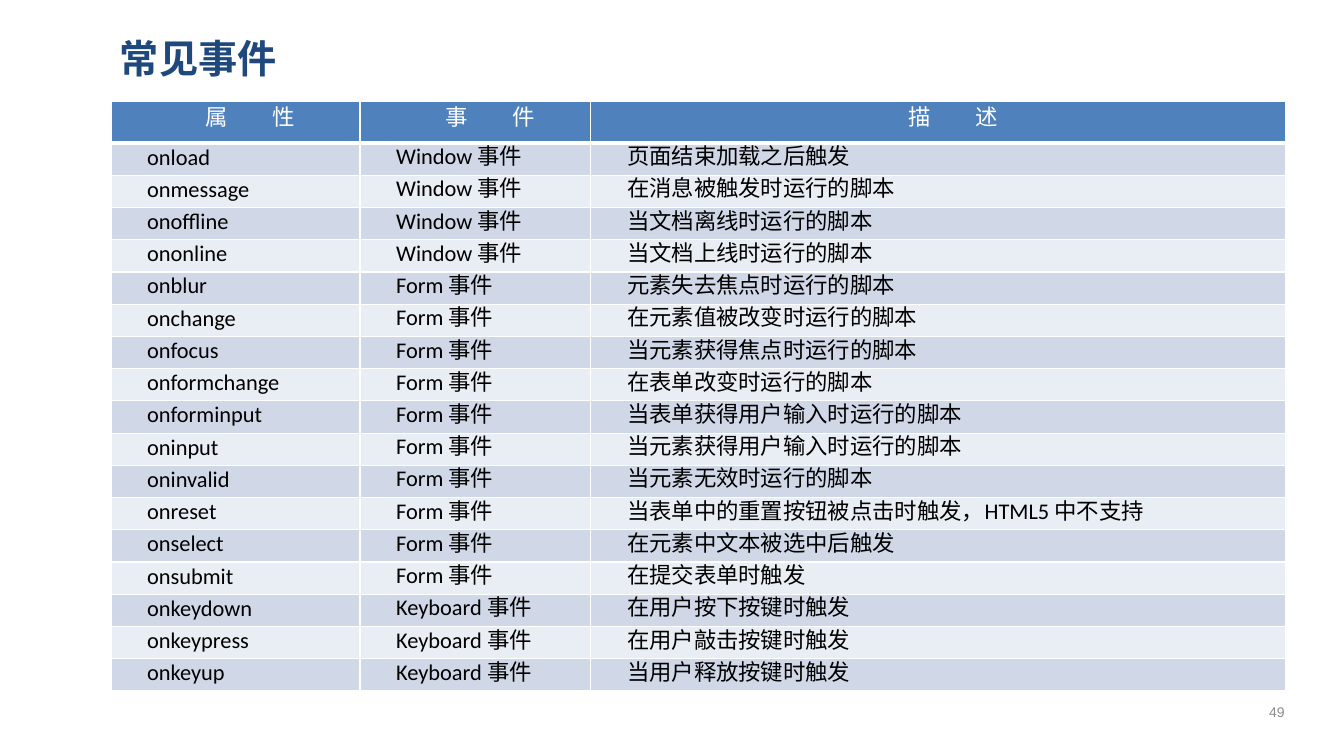
"""Builds the slide of common events."""
import pptx
import pptx.util
import pptx.dml.color
import pptx.enum.text
import pptx.oxml
import pptx.oxml.ns

Inches, Pt = pptx.util.Inches, pptx.util.Pt
ALIGN = pptx.enum.text.PP_ALIGN
MIDDLE = pptx.enum.text.MSO_ANCHOR.MIDDLE

TITLE = "常见事件"
PAGE = "49"
HEAD = ("属　　性", "事　　件", "描　　述")
EVENTS = [
    ("Window", [
        ("onload", "页面结束加载之后触发"),
        ("onmessage", "在消息被触发时运行的脚本"),
        ("onoffline", "当文档离线时运行的脚本"),
        ("ononline", "当文档上线时运行的脚本"),
    ]),
    ("Form", [
        ("onblur", "元素失去焦点时运行的脚本"),
        ("onchange", "在元素值被改变时运行的脚本"),
        ("onfocus", "当元素获得焦点时运行的脚本"),
        ("onformchange", "在表单改变时运行的脚本"),
        ("onforminput", "当表单获得用户输入时运行的脚本"),
        ("oninput", "当元素获得用户输入时运行的脚本"),
        ("oninvalid", "当元素无效时运行的脚本"),
        ("onreset", "当表单中的重置按钮被点击时触发，HTML5 中不支持"),
        ("onselect", "在元素中文本被选中后触发"),
        ("onsubmit", "在提交表单时触发"),
    ]),
    ("Keyboard", [
        ("onkeydown", "在用户按下按键时触发"),
        ("onkeypress", "在用户敲击按键时触发"),
        ("onkeyup", "当用户释放按键时触发"),
    ]),
]
COLORS = {"head": "4F81BD", "odd": "D0D8E8", "even": "E9EDF4", "white": "FFFFFF",
          "text": "000000", "title": "1F497D", "page": "8C8C8C"}
CJK = "Noto Sans CJK SC"
LEFT, TOP, WIDTH = 1.1, 1.01, 11.65
COLS = (2.47, 2.29, 6.89)
HEAD_H, ROW_H = 0.41, 0.32


def rgb(name):
    return pptx.dml.color.RGBColor.from_string(COLORS[name])


def style(para, size, face, color, align, bold=False):
    font = para.font
    font.size, font.name, font.bold = Pt(size), face, bold
    font.color.rgb = rgb(color)
    para.alignment = align
    base = para._p.pPr.find(pptx.oxml.ns.qn("a:defRPr"))
    base.find(pptx.oxml.ns.qn("a:latin")).addnext(pptx.oxml.parse_xml(
        f'<a:ea {pptx.oxml.ns.nsdecls("a")} typeface="{CJK}"/>'))


def border(cell, head):
    props = cell._tc.get_or_add_tcPr()
    for at, side in enumerate("LRTB"):
        width = Pt(3 if head and side == "B" else 1)
        props.insert(at, pptx.oxml.parse_xml(
            f'<a:ln{side} {pptx.oxml.ns.nsdecls("a")} w="{width}"><a:solidFill>'
            f'<a:srgbClr val="{COLORS["white"]}"/></a:solidFill></a:ln{side}>'))


def fill_cell(cell, text, row):
    head = row == 0
    cell.text = text
    cell.vertical_anchor = MIDDLE
    cell.margin_left = cell.margin_right = Inches(0.07)
    cell.margin_top = cell.margin_bottom = 0
    cell.fill.solid()
    cell.fill.fore_color.rgb = rgb("head" if head else "odd" if row % 2 else "even")
    border(cell, head)
    para = cell.text_frame.paragraphs[0]
    style(para, 16, "Calibri", "white" if head else "text",
          ALIGN.CENTER if head else ALIGN.JUSTIFY)
    para.line_spacing = Pt(13 if head else 17)
    para._p.pPr.set("marL", "0")
    para._p.pPr.set("indent", str(Inches(0.29)))


def add_text(slide, text, box, *look):
    frame = slide.shapes.add_textbox(*map(Inches, box)).text_frame
    frame.word_wrap = True
    frame.vertical_anchor = MIDDLE
    frame.margin_left = frame.margin_right = Inches(0.09)
    frame.margin_top = frame.margin_bottom = Inches(0.04)
    frame.text = text
    style(frame.paragraphs[0], *look)


def add_grid(slide):
    rows = [HEAD] + [(name, f"{kind} 事件", note)
                     for kind, items in EVENTS for name, note in items]
    high = HEAD_H + ROW_H * (len(rows) - 1)
    grid = slide.shapes.add_table(len(rows), len(COLS), *map(
        Inches, (LEFT, TOP, WIDTH, high))).table
    for col, width in zip(grid.columns, COLS):
        col.width = Inches(width)
    for r, texts in enumerate(rows):
        grid.rows[r].height = Inches(ROW_H if r else HEAD_H)
        for c, text in enumerate(texts):
            fill_cell(grid.cell(r, c), text, r)


def main():
    deck = pptx.Presentation()
    deck.slide_width, deck.slide_height = Inches(13.33), Inches(7.5)
    slide = deck.slides.add_slide(deck.slide_layouts[6])
    add_grid(slide)
    add_text(slide, TITLE, (LEFT, 0.24, WIDTH, 0.67), 28, CJK, "title", ALIGN.LEFT, True)
    add_text(slide, PAGE, (12.34, 6.86, 0.65, 0.4), 10, "Arial", "page", ALIGN.CENTER)
    deck.save("out.pptx")


if __name__ == "__main__":
    main()
